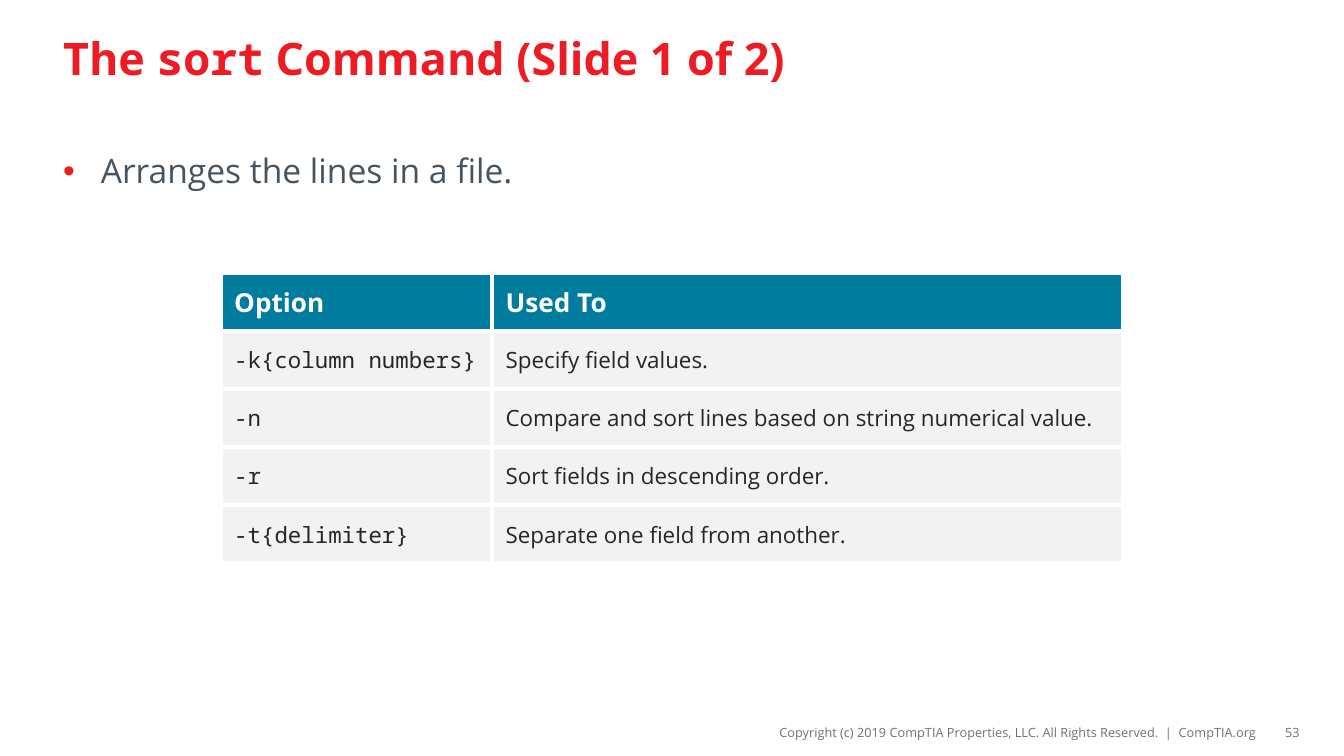
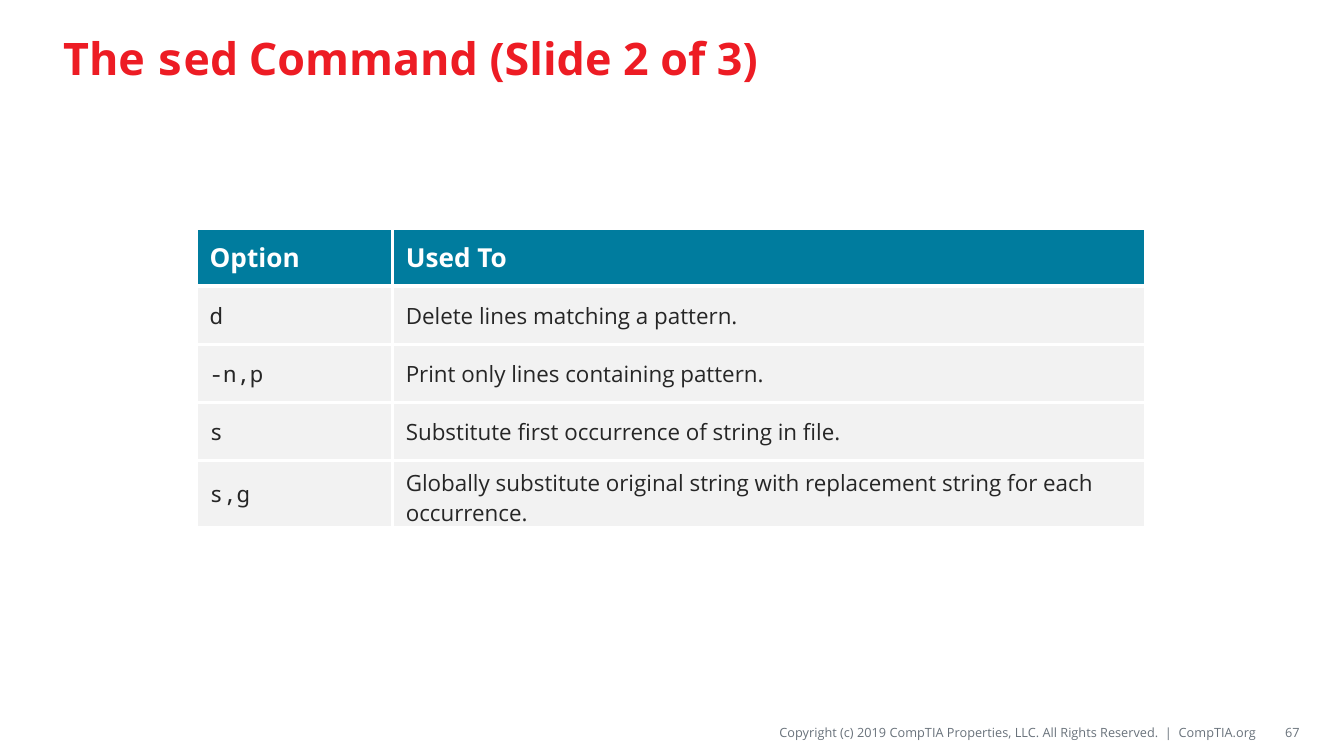
from dataclasses import dataclass
from typing import NamedTuple, Optional

from lxml.etree import SubElement
from pptx import Presentation
from pptx.dml.color import RGBColor
from pptx.enum.text import MSO_ANCHOR as Anchor, PP_ALIGN as Align
from pptx.oxml import parse_xml
from pptx.oxml.ns import nsdecls, qn
from pptx.slide import Slide
from pptx.table import _Cell as Cell
from pptx.text.text import TextFrame, _Paragraph as Paragraph
from pptx.util import Pt


class TextStyle(NamedTuple):
    font: str
    size: float
    color: str
    bold: bool = False


@dataclass(frozen=True)
class Theme:
    sans: str = "Open Sans"
    mono: str = "Noto Sans Mono"
    accent: str = "ED1C24"
    header_fill: str = "007C9E"
    row_fill: str = "F2F2F2"
    border: str = "FFFFFF"
    border_width: float = 2.25
    row_height: float = 31.1
    title: TextStyle = TextStyle(sans, 24, accent, True)
    body: TextStyle = TextStyle(sans, 18, "45545F")
    header: TextStyle = TextStyle(sans, 14, "FFFFFF", True)
    option: TextStyle = TextStyle(mono, 12, "262626")
    purpose: TextStyle = TextStyle(sans, 12, "262626")
    footer: TextStyle = TextStyle(sans, 6.8, "69727B")


THEME = Theme()


class Box(NamedTuple):
    left: float
    top: float
    width: float
    height: float


class Insets(NamedTuple):
    left: float = 7.2
    top: float = 3.6
    right: float = 7.2
    bottom: float = 3.6


class OptionTable(NamedTuple):
    left: float
    top: float
    widths: tuple[float, float]
    options: dict[str, str]


@dataclass(frozen=True)
class CommandSlide:
    command: str
    sequence: str
    number: int
    table: OptionTable
    bullet: Optional[str] = None


TITLE_BOX = Box(26.7, 5.8, 666, 49.7)
BODY_BOX = Box(26.7, 77, 666, 280.8)
COPYRIGHT_BOX = Box(279.4, 384.5, 393.8, 15.8)
NUMBER_BOX = Box(675.4, 384.5, 20.9, 15.8)
COPYRIGHT = ("Copyright (c) 2019 CompTIA Properties, LLC. "
             "All Rights Reserved.  |  CompTIA.org")
BULLET_INDENT = 20.2

SLIDES = [
    CommandSlide(
        "sort", "1 of 2", 53,
        OptionTable(118.3, 146.3, (145.4, 337.7), {
            "-k{column numbers}": "Specify field values.",
            "-n": "Compare and sort lines based on string numerical value.",
            "-r": "Sort fields in descending order.",
            "-t{delimiter}": "Separate one field from another.",
        }),
        bullet="Arranges the lines in a file.",
    ),
    CommandSlide(
        "sed", "2 of 3", 67,
        OptionTable(105.1, 122.3, (105.1, 403.9), {
            "d": "Delete lines matching a pattern.",
            "-n,p": "Print only lines containing pattern.",
            "s": "Substitute first occurrence of string in file.",
            "s,g": "Globally substitute original string with replacement "
                   "string for each occurrence.",
        }),
    ),
]


def set_style(paragraph: Paragraph, style: TextStyle) -> None:
    font = paragraph.font
    font.name, font.size, font.bold = style.font, Pt(style.size), style.bold
    font.color.rgb = RGBColor.from_string(style.color)


def add_text_box(slide: Slide, box: Box, anchor: Anchor,
                 insets: Insets = Insets()) -> TextFrame:
    frame = slide.shapes.add_textbox(*map(Pt, box)).text_frame
    frame.word_wrap = True
    frame.vertical_anchor = anchor
    frame.margin_left, frame.margin_top, frame.margin_right, frame.margin_bottom = map(Pt, insets)
    return frame


def add_title(slide: Slide, command: str, sequence: str) -> None:
    """Write the title with the command name in the code font."""
    paragraph = add_text_box(slide, TITLE_BOX, Anchor.MIDDLE).paragraphs[0]
    set_style(paragraph, THEME.title)
    for text, font_name in (("The ", THEME.sans), (command, THEME.mono),
                            (f" Command (Slide {sequence})", THEME.sans)):
        run = paragraph.add_run()
        run.text = text
        run.font.name = font_name


def add_footer_text(slide: Slide, box: Box, text: str, insets: Insets) -> None:
    paragraph = add_text_box(slide, box, Anchor.MIDDLE, insets).paragraphs[0]
    paragraph.text = text
    paragraph.alignment = Align.RIGHT
    set_style(paragraph, THEME.footer)


def add_bullet(slide: Slide, text: str) -> None:
    paragraph = add_text_box(slide, BODY_BOX, Anchor.TOP).paragraphs[0]
    paragraph.text = text
    properties = paragraph._p.get_or_add_pPr()
    properties.set("marL", str(Pt(BULLET_INDENT)))
    properties.set("indent", str(-Pt(BULLET_INDENT)))
    bullet_color = SubElement(properties, qn("a:buClr"))
    SubElement(bullet_color, qn("a:srgbClr"), val=THEME.accent)
    SubElement(properties, qn("a:buFont"), typeface="Arial")
    SubElement(properties, qn("a:buChar"), char="•")
    set_style(paragraph, THEME.body)


def set_borders(cell: Cell) -> None:
    properties = cell._tc.get_or_add_tcPr()
    for position, side in enumerate(("lnL", "lnR", "lnT", "lnB")):
        properties.insert(position, parse_xml(
            f'<a:{side} {nsdecls("a")} w="{Pt(THEME.border_width)}"><a:solidFill>'
            f'<a:srgbClr val="{THEME.border}"/></a:solidFill></a:{side}>'))


def fill_cell(cell: Cell, text: str, style: TextStyle, fill: str) -> None:
    cell.text = text
    cell.vertical_anchor = Anchor.MIDDLE
    cell.fill.solid()
    cell.fill.fore_color.rgb = RGBColor.from_string(fill)
    set_borders(cell)
    set_style(cell.text_frame.paragraphs[0], style)


def add_option_table(slide: Slide, content: OptionTable) -> None:
    rows = [("Option", "Used To"), *content.options.items()]
    table = slide.shapes.add_table(
        len(rows), len(content.widths), Pt(content.left), Pt(content.top),
        Pt(sum(content.widths)), Pt(THEME.row_height * len(rows))).table
    table.horz_banding = False
    for column, width in zip(table.columns, content.widths):
        column.width = Pt(width)
    for index, texts in enumerate(rows):
        table.rows[index].height = Pt(THEME.row_height)
        if index == 0:
            styles, fill = (THEME.header, THEME.header), THEME.header_fill
        else:
            styles, fill = (THEME.option, THEME.purpose), THEME.row_fill
        for column_index, (text, style) in enumerate(zip(texts, styles)):
            fill_cell(table.cell(index, column_index), text, style, fill)


def main() -> None:
    deck = Presentation()
    deck.slide_width, deck.slide_height = Pt(720), Pt(405)
    blank = deck.slide_layouts[6]
    for content in SLIDES:
        slide = deck.slides.add_slide(blank)
        add_footer_text(slide, COPYRIGHT_BOX, COPYRIGHT, Insets(left=0, right=0))
        add_title(slide, content.command, content.sequence)
        add_footer_text(slide, NUMBER_BOX, str(content.number), Insets(right=0))
        if content.bullet:
            add_bullet(slide, content.bullet)
        add_option_table(slide, content.table)
    deck.save("out.pptx")


if __name__ == "__main__":
    main()
